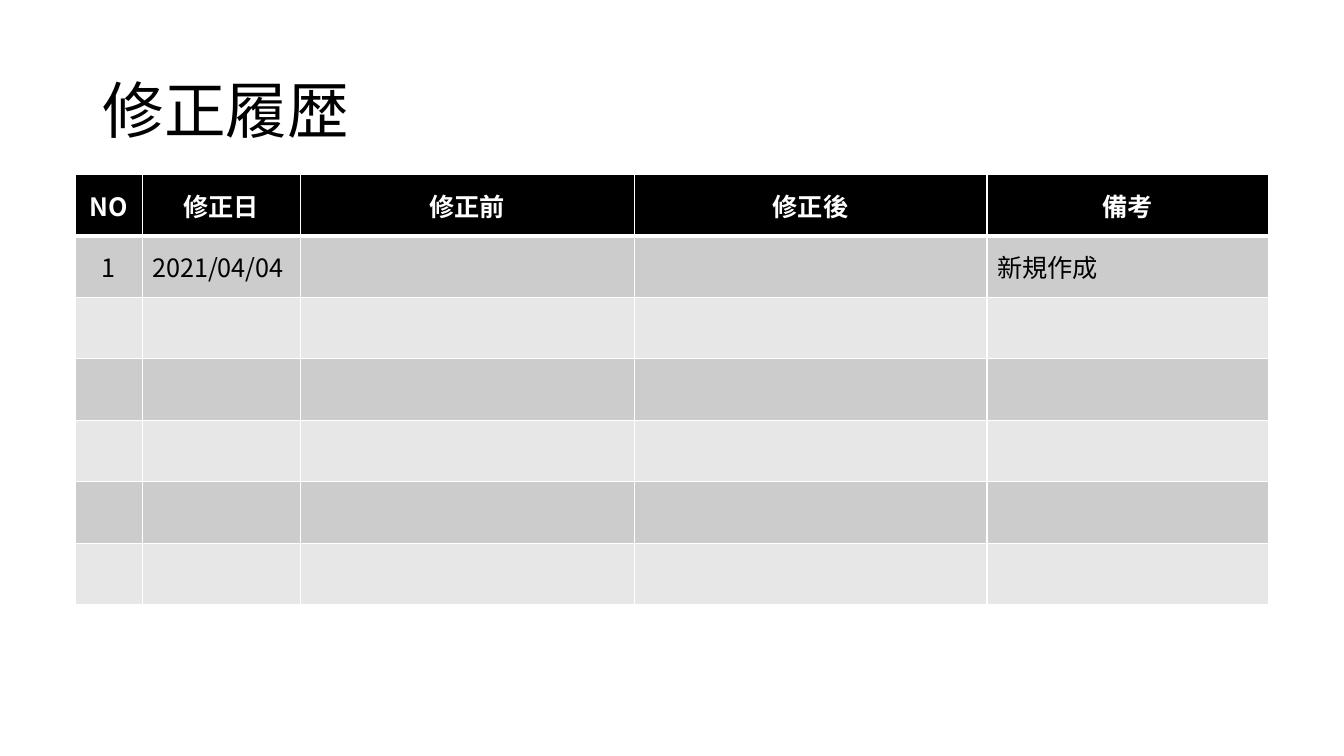
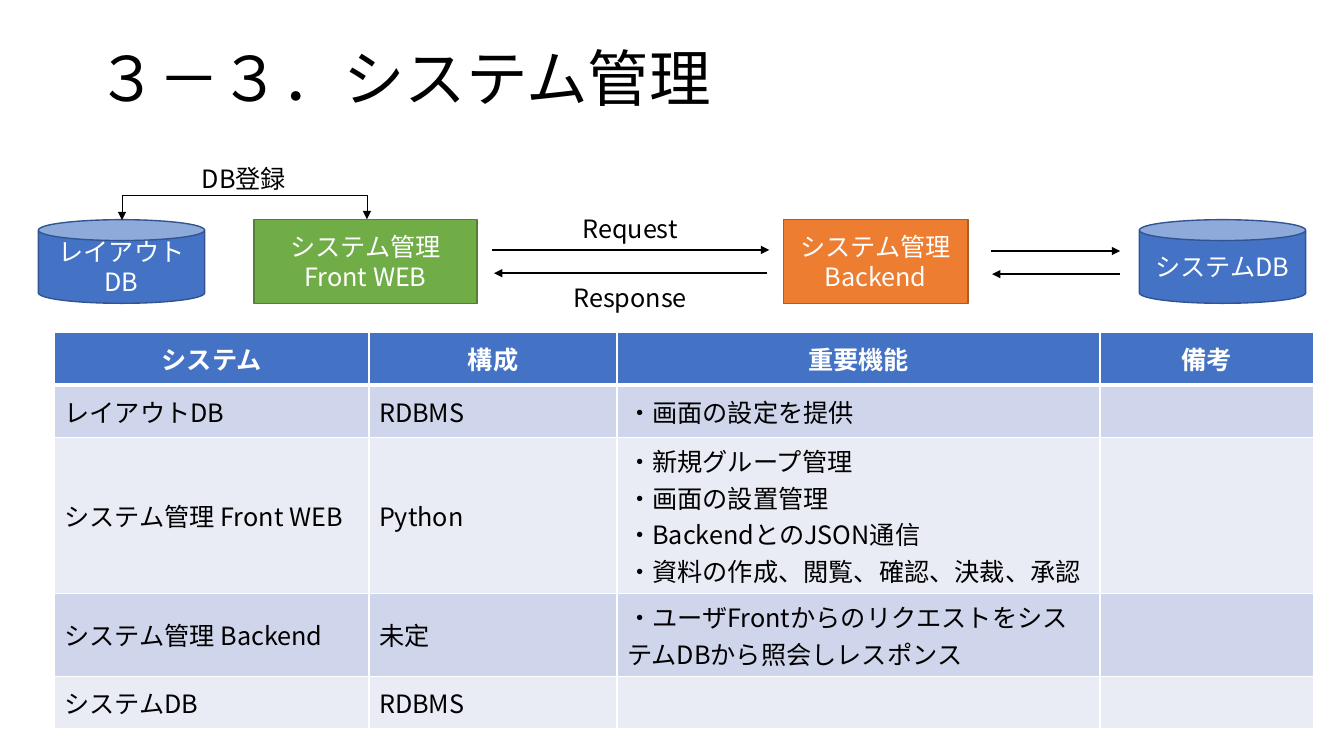
from dataclasses import dataclass

from lxml import etree
from pptx import Presentation
from pptx.dml.color import RGBColor
from pptx.enum.shapes import MSO_CONNECTOR, MSO_SHAPE
from pptx.enum.text import MSO_ANCHOR, PP_ALIGN
from pptx.oxml.ns import qn
from pptx.util import Inches, Pt

RECTANGLE, CAN = MSO_SHAPE.RECTANGLE, MSO_SHAPE.CAN
STRAIGHT, ELBOW = MSO_CONNECTOR.STRAIGHT, MSO_CONNECTOR.ELBOW
LEFT, CENTER = PP_ALIGN.LEFT, PP_ALIGN.CENTER
MIDDLE = MSO_ANCHOR.MIDDLE


@dataclass(frozen=True)
class Theme:
    font: str = "Noto Sans CJK JP"
    title_size: float = 44
    body_size: float = 18
    thin: float = 1
    thick: float = 3
    hairline: float = 0.5
    black: str = "000000"
    white: str = "FFFFFF"
    blue: str = "4472C4"
    blue_edge: str = "325491"
    green: str = "70AD47"
    green_edge: str = "538035"
    orange: str = "ED7D31"
    orange_edge: str = "AF5C24"
    gray_bands: tuple = ("CCCCCC", "E7E7E7")
    blue_bands: tuple = ("CFD5EA", "E9EBF5")


THEME = Theme()


@dataclass(frozen=True)
class Node:
    text: str
    left: float
    width: float
    fill: str
    edge: str = ""
    kind: int = RECTANGLE
    top: float = 2.18
    height: float = 0.83
    color: str = THEME.white
    inset: float = 0.1


@dataclass(frozen=True)
class Arrow:
    start: float
    end: float
    y: float


@dataclass(frozen=True)
class Grid:
    left: float
    top: float
    columns: tuple
    heights: tuple
    rows: tuple
    header_fill: str
    bands: tuple
    centered: tuple = ()


def set_frame(frame, inset: float = 0.1) -> None:
    formats = {"word_wrap": True, "vertical_anchor": MIDDLE,
               "margin_left": Inches(inset), "margin_right": Inches(inset)}
    for name, value in formats.items():
        setattr(frame, name, value)


def write(frame, text: str, color: str, size: float = THEME.body_size,
          align: int = LEFT, bold: bool = False, spacing: float = 1.0) -> None:
    for index, line in enumerate(text.split("\n")):
        para = frame.add_paragraph() if index else frame.paragraphs[0]
        para.alignment = align
        para.line_spacing = spacing
        span = para.add_run()
        span.text = line
        formats = {"name": THEME.font, "size": Pt(size), "bold": bold}
        for name, value in formats.items():
            setattr(span.font, name, value)
        span.font.color.rgb = RGBColor.from_string(color)
        properties = span.font._element
        etree.SubElement(properties, qn("a:ea"), typeface=THEME.font)


def add_title(page, text: str, left: float, top: float, height: float) -> None:
    box = page.shapes.add_textbox(Inches(left), Inches(top), Inches(11.5), Inches(height))
    set_frame(box.text_frame)
    write(box.text_frame, text, THEME.black, THEME.title_size, spacing=0.9)


def add_node(page, node: Node) -> None:
    box = page.shapes.add_shape(node.kind, Inches(node.left), Inches(node.top),
                                Inches(node.width), Inches(node.height))
    box.shadow.inherit = False
    box.fill.solid()
    box.fill.fore_color.rgb = RGBColor.from_string(node.fill)
    if node.edge:
        box.line.color.rgb = RGBColor.from_string(node.edge)
        box.line.width = Pt(THEME.thin)
    else:
        box.line.fill.background()
    set_frame(box.text_frame, node.inset)
    write(box.text_frame, node.text, node.color, align=CENTER)


def add_line(page, kind: int, points: tuple, width: float, ends: tuple):
    line = page.shapes.add_connector(kind, *(Inches(value) for value in points))
    line.line.color.rgb = RGBColor.from_string(THEME.black)
    line.line.width = Pt(width)
    outline = line.line._get_or_add_ln()
    for end in ends:
        etree.SubElement(outline, qn(f"a:{end}"), type="triangle")
    etree.SubElement(line._element.spPr, qn("a:effectLst"))
    return line


def add_arrow(page, arrow: Arrow) -> None:
    add_line(page, STRAIGHT, (arrow.start, arrow.y, arrow.end, arrow.y),
             THEME.thin, ("tailEnd",))


def add_bracket(page, left: float, right: float, base: float, rise: float) -> None:
    depth = 0.01
    middle, half = (left + right) / 2, (right - left) / 2
    points = (middle + depth / 2, base + half, middle - depth / 2, base - half)
    line = add_line(page, ELBOW, points, THEME.hairline, ("headEnd", "tailEnd"))
    properties = line._element.spPr
    properties.find(qn("a:xfrm")).set("rot", str(90 * 60000))
    guides = properties.find(qn("a:prstGeom")).find(qn("a:avLst"))
    bend = round(rise / depth * 100000)
    etree.SubElement(guides, qn("a:gd"), name="adj1", fmla=f"val {bend}")


def add_borders(cell, row: int) -> None:
    properties = cell._tc.get_or_add_tcPr()
    widths = {"L": THEME.thin, "R": THEME.thin,
              "T": THEME.thick if row == 1 else THEME.thin,
              "B": THEME.thick if row == 0 else THEME.thin}
    for side, width in widths.items():
        border = etree.SubElement(properties, qn(f"a:ln{side}"), w=str(Pt(width)))
        fill = etree.SubElement(border, qn("a:solidFill"))
        etree.SubElement(fill, qn("a:srgbClr"), val=THEME.white)


def add_grid(page, grid: Grid) -> None:
    table = page.shapes.add_table(
        len(grid.heights), len(grid.columns), Inches(grid.left), Inches(grid.top),
        Inches(sum(grid.columns)), Inches(sum(grid.heights))).table
    for column, width in zip(table.columns, grid.columns):
        column.width = Inches(width)
    for row, height in zip(table.rows, grid.heights):
        row.height = Inches(height)
    for row in range(len(grid.heights)):
        texts = grid.rows[row] if row < len(grid.rows) else ()
        header = row == 0
        for column in range(len(grid.columns)):
            cell = table.cell(row, column)
            add_borders(cell, row)
            cell.vertical_anchor = MIDDLE
            cell.fill.solid()
            fill = grid.header_fill if header else grid.bands[(row - 1) % 2]
            cell.fill.fore_color.rgb = RGBColor.from_string(fill)
            if column < len(texts) and texts[column]:
                centered = header or column in grid.centered
                write(cell.text_frame, texts[column],
                      THEME.white if header else THEME.black,
                      align=CENTER if centered else LEFT, bold=header)


HISTORY = Grid(
    0.75, 1.73, (0.66, 1.57, 3.31, 3.5, 2.79), (0.61,) * 7,
    (("NO", "修正日", "修正前", "修正後", "備考"),
     ("1", "2021/04/04", "", "", "新規作成")),
    THEME.black, THEME.gray_bands, centered=(0,))

FEATURES = "\n".join(("・新規グループ管理", "・画面の設置管理", "・BackendとのJSON通信",
                      "・資料の作成、閲覧、確認、決裁、承認"))

SYSTEMS = Grid(
    0.54, 3.3, (3.12, 2.46, 4.79, 2.12), (0.52, 0.52, 1.55, 0.82, 0.52),
    (("システム", "構成", "重要機能", "備考"),
     ("レイアウトDB", "RDBMS", "・画面の設定を提供"),
     ("システム管理 Front WEB", "Python", FEATURES),
     ("システム管理 Backend", "未定",
      "・ユーザFrontからのリクエストをシステムDBから照会しレスポンス"),
     ("システムDB", "RDBMS")),
    THEME.blue, THEME.blue_bands)


def label(text: str, left: float, top: float, width: float) -> Node:
    return Node(text, left, width, THEME.white, top=top, height=0.23,
                color=THEME.black, inset=0)


NODES = (
    Node("システム管理Front WEB", 2.52, 2.21, THEME.green, THEME.green_edge),
    Node("システム管理Backend", 7.77, 1.83, THEME.orange, THEME.orange_edge),
    Node("システムDB", 11.3, 1.65, THEME.blue, THEME.blue_edge, CAN),
    Node("レイアウト\nDB", 0.38, 1.65, THEME.blue, THEME.blue_edge, CAN),
    label("Request", 5.53, 2.15, 1.44),
    label("Response", 5.53, 2.84, 1.44),
    label("DB登録", 1.88, 1.66, 1.08),
)

ARROWS = (
    Arrow(4.88, 7.63, 2.48),
    Arrow(7.61, 4.9, 2.71),
    Arrow(9.83, 11.11, 2.49),
    Arrow(11.11, 9.84, 2.72),
)


def build_history(page) -> None:
    add_title(page, "修正履歴", 0.92, 0.4, 1.45)
    add_grid(page, HISTORY)


def build_systems(page) -> None:
    add_title(page, "３－３．システム管理", 0.86, 0.33, 0.95)
    for node in NODES:
        add_node(page, node)
    for arrow in ARROWS:
        add_arrow(page, arrow)
    add_grid(page, SYSTEMS)
    add_bracket(page, 1.21, 3.64, 2.18, 0.25)


deck = Presentation()
deck.slide_width, deck.slide_height = Inches(13.33), Inches(7.5)
for build in (build_history, build_systems):
    build(deck.slides.add_slide(deck.slide_layouts[6]))
deck.save("out.pptx")
